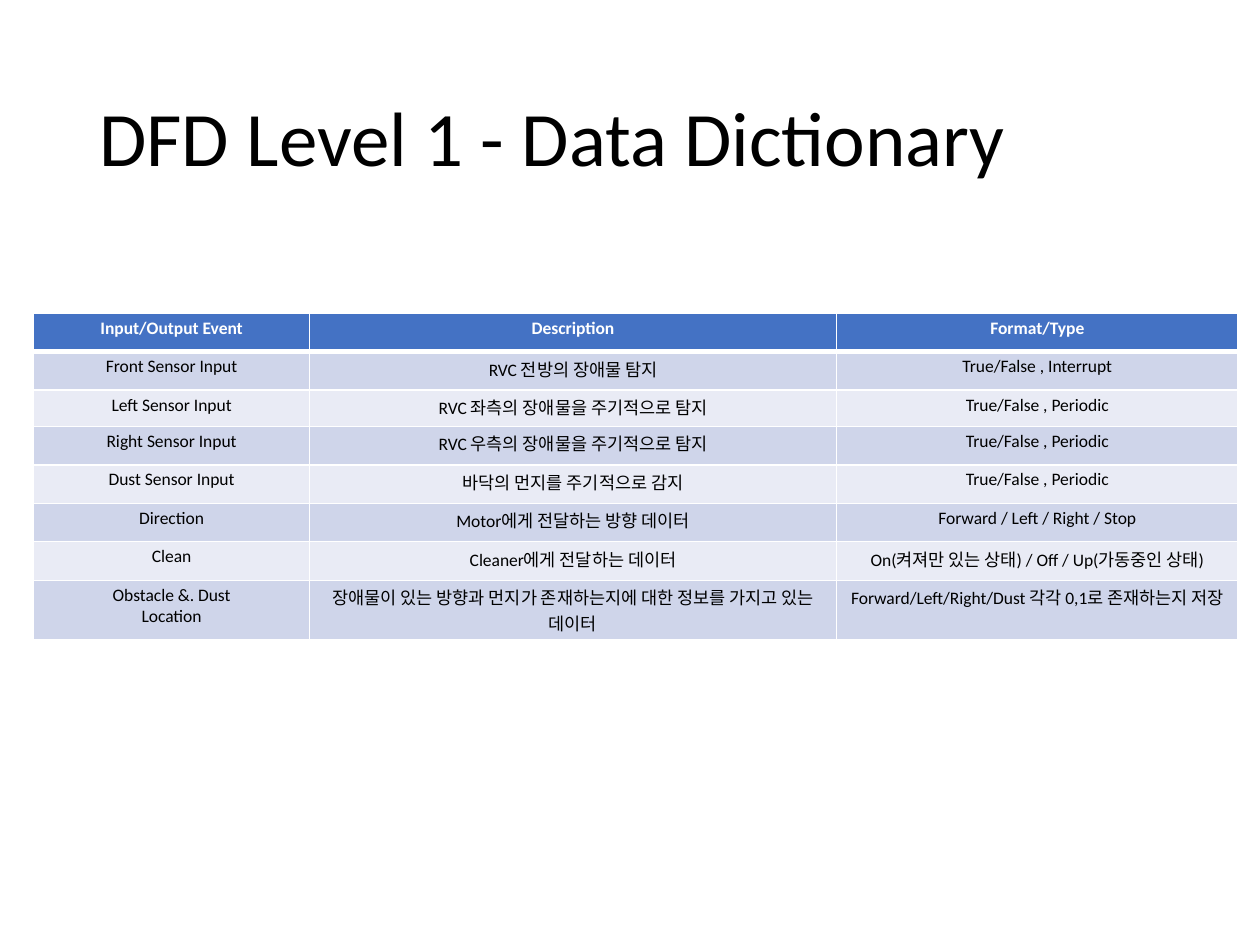
from pptx import Presentation
from pptx.dml.color import RGBColor
from pptx.enum.text import MSO_ANCHOR, PP_ALIGN
from pptx.oxml import parse_xml
from pptx.oxml.ns import nsdecls
from pptx.util import Pt

BLACK = RGBColor(0x00, 0x00, 0x00)
WHITE = RGBColor(0xFF, 0xFF, 0xFF)
BLUE = RGBColor(0x44, 0x72, 0xC4)
BANDS = RGBColor(0xCF, 0xD5, 0xEA), RGBColor(0xE9, 0xEB, 0xF5)

WIDTHS = 157.7, 301, 229.7
HEIGHTS = 22, 22, 20.7, 22, 22, 22, 22, 34
ROWS = [
    ("Input/Output Event", "Description", "Format/Type"),
    ("Front Sensor Input", "RVC 전방의 장애물 탐지", "True/False , Interrupt"),
    ("Left Sensor Input", "RVC 좌측의 장애물을 주기적으로 탐지", "True/False , Periodic"),
    ("Right Sensor Input", "RVC 우측의 장애물을 주기적으로 탐지", "True/False , Periodic"),
    ("Dust Sensor Input", "바닥의 먼지를 주기적으로 감지", "True/False , Periodic"),
    ("Direction", "Motor에게 전달하는 방향 데이터", "Forward / Left / Right / Stop"),
    ("Clean", "Cleaner에게 전달하는 데이터",
     "On(켜져만 있는 상태) / Off / Up(가동중인 상태)"),
    ("Obstacle &. Dust\nLocation",
     "장애물이 있는 방향과 먼지가 존재하는지에 대한 정보를 가지고 있는 데이터",
     "Forward/Left/Right/Dust 각각 0,1로 존재하는지 저장"),
]


class Deck:
    face = "Calibri"

    def __init__(self, width, height):
        self.show = Presentation()
        self.show.slide_width, self.show.slide_height = Pt(width), Pt(height)
        self.slide = self.show.slides.add_slide(self.show.slide_layouts[6])

    def style(self, frame, size, color, bold=False, align=PP_ALIGN.LEFT):
        for para in frame.paragraphs:
            para.alignment = align
            for run in para.runs:
                font = run.font
                font.name, font.size, font.bold = self.face, Pt(size), bold
                font.color.rgb = color

    def title(self, text, left, top, width, height):
        box = self.slide.shapes.add_textbox(Pt(left), Pt(top), Pt(width), Pt(height))
        frame = box.text_frame
        frame.word_wrap = True
        frame.vertical_anchor = MSO_ANCHOR.MIDDLE
        frame.text = text
        frame.paragraphs[0].line_spacing = 0.9
        self.style(frame, 44, BLACK)

    def edge(self, cell, side, weight):
        """Draw one cell border; call before the fill, which must follow it."""
        cell._tc.get_or_add_tcPr().append(parse_xml(
            f'<a:{side} {nsdecls("a")} w="{Pt(weight)}"><a:solidFill>'
            f'<a:srgbClr val="{WHITE}"/></a:solidFill></a:{side}>'))

    def cell(self, cell, text, row):
        head = row == 0
        weights = {"lnL": 1, "lnR": 1, "lnT": 3 if row == 1 else 1,
                   "lnB": 3 if head else 1}
        for side, weight in weights.items():
            self.edge(cell, side, weight)
        cell.fill.solid()
        cell.fill.fore_color.rgb = BLUE if head else BANDS[(row - 1) % 2]
        cell.margin_left = cell.margin_right = Pt(5.2)
        cell.margin_top = cell.margin_bottom = Pt(2.6)
        cell.text_frame.text = text
        self.style(cell.text_frame, 10, WHITE if head else BLACK, head, PP_ALIGN.CENTER)

    def table(self, rows, left, top, widths, heights):
        table = self.slide.shapes.add_table(
            len(rows), len(widths), Pt(left), Pt(top),
            Pt(sum(widths)), Pt(sum(heights))).table
        table.horz_banding = False
        for col, width in zip(table.columns, widths):
            col.width = Pt(width)
        for line, height in zip(table.rows, heights):
            line.height = Pt(height)
        for r, texts in enumerate(rows):
            for c, text in enumerate(texts):
                self.cell(table.cell(r, c), text, r)


def main():
    deck = Deck(720, 540)
    deck.title("DFD Level 1 - Data Dictionary", 49.7, 28.75, 621, 104.4)
    deck.table(ROWS, 19.2, 178.9, WIDTHS, HEIGHTS)
    deck.show.save("out.pptx")


if __name__ == "__main__":
    main()
